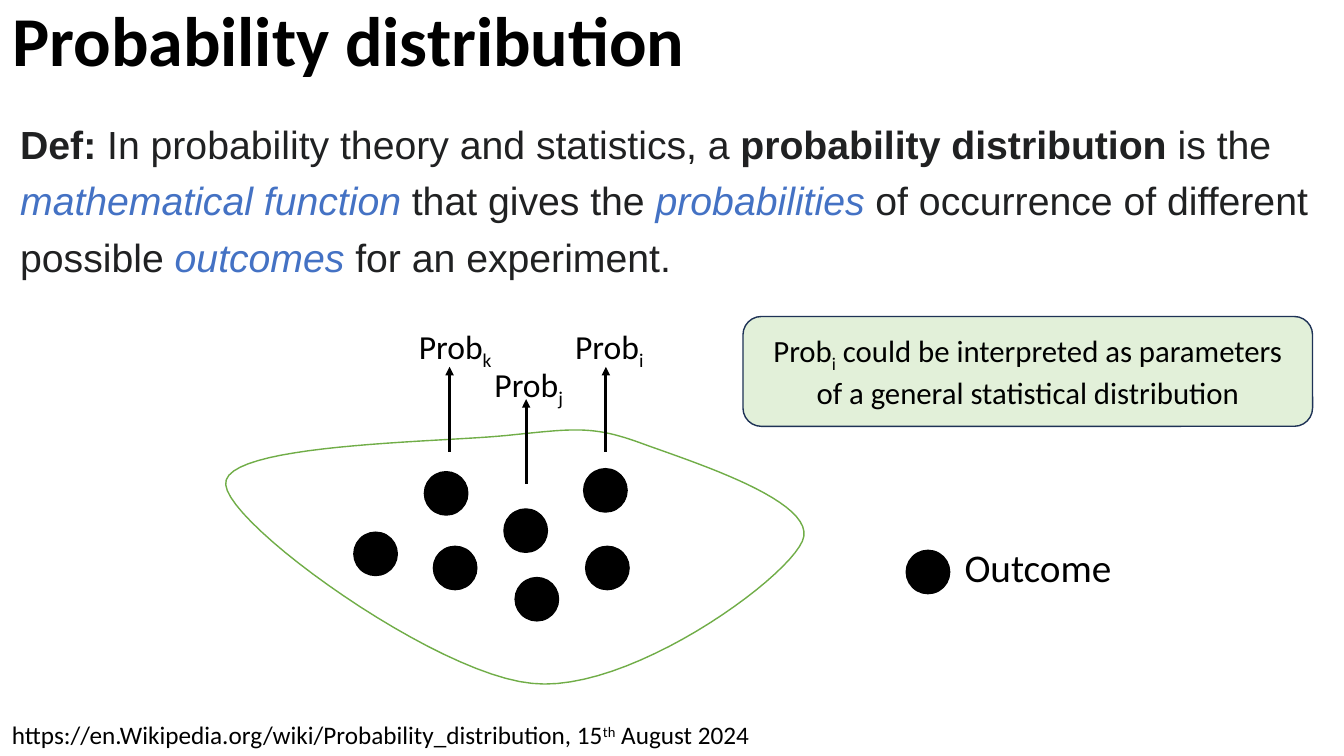
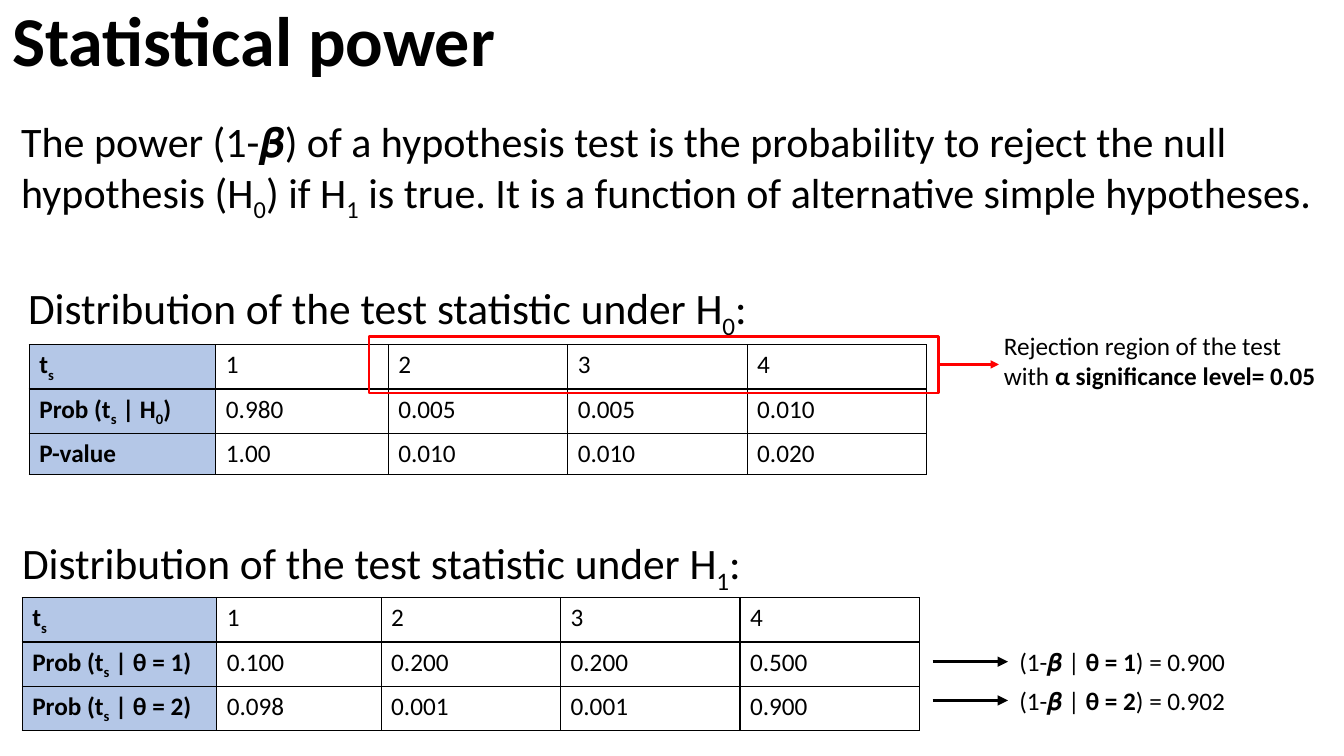
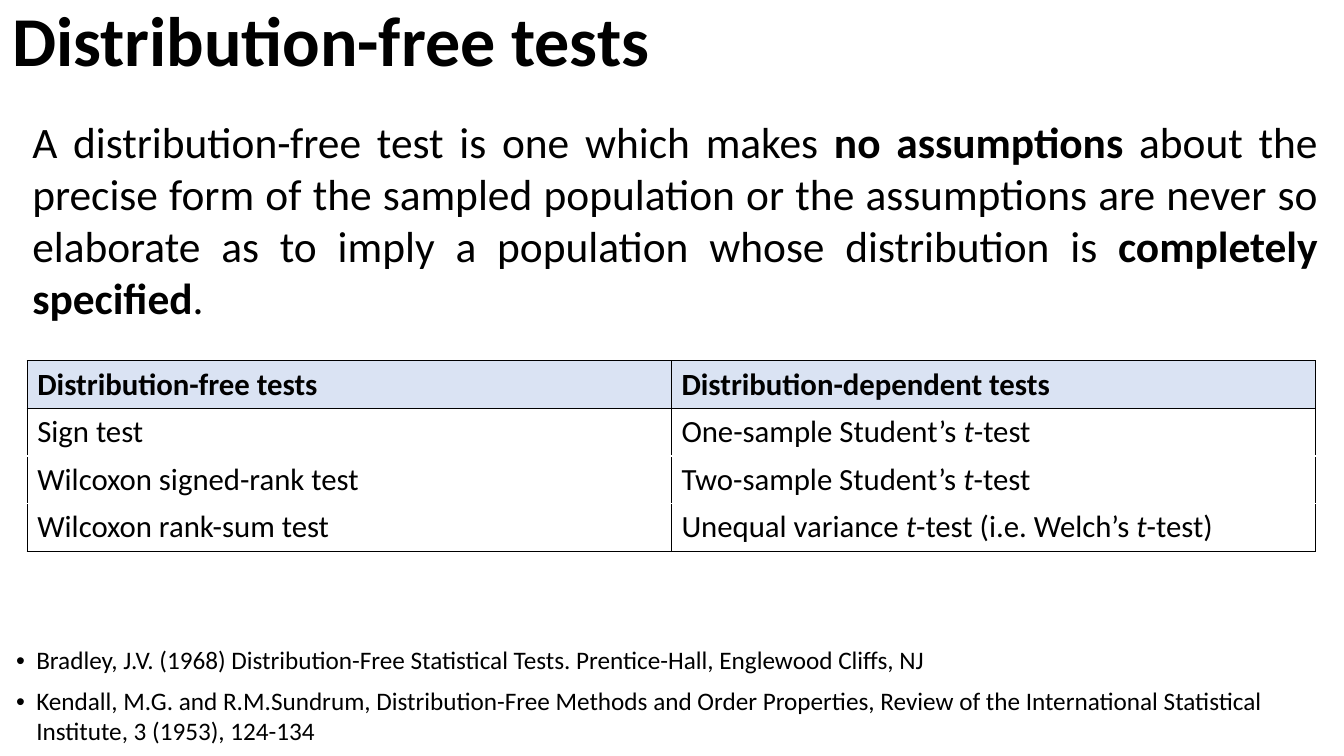
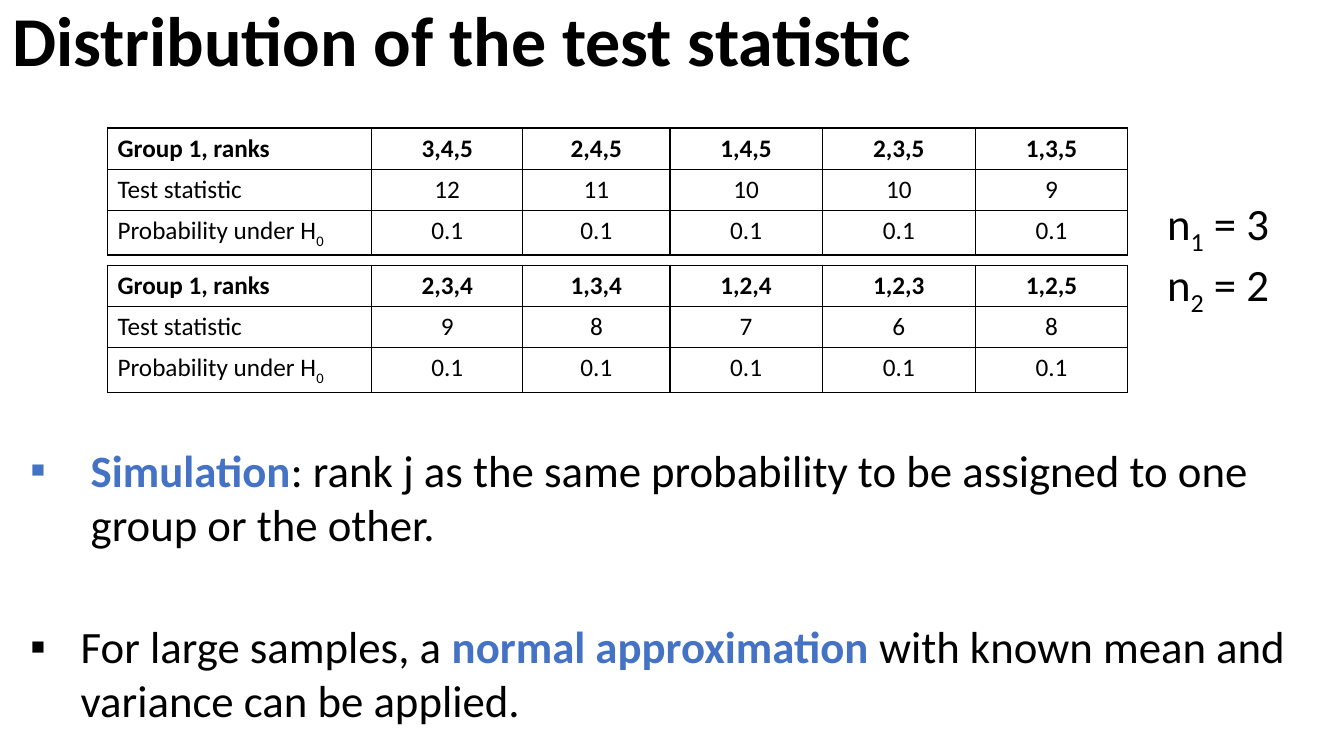
from dataclasses import dataclass

from lxml import etree
from pptx import Presentation
from pptx import util as u
from pptx.dml.color import RGBColor
from pptx.enum import shapes, text
from pptx.oxml import ns


@dataclass(frozen=True)
class Theme:
    width: float = 13.33
    height: float = 7.5
    font: str = "Calibri"
    quote_font: str = "Arial"
    ink: str = "000000"
    quote_ink: str = "202122"
    accent: str = "4472C4"
    paper: str = "FFFFFF"
    outline: str = "70AD47"
    note: str = "E2F0D9"
    note_edge: str = "1E3256"
    alert: str = "FF0000"
    head_col: str = "B4C7E7"
    head_row: str = "DAE3F3"
    title: int = 50
    bullet: int = 32
    lead: int = 31
    power: int = 30
    quote: int = 28
    label: int = 24
    cell: int = 22
    small: int = 18


T = Theme()
LEFT, CENTER, JUSTIFY = (text.PP_ALIGN.LEFT, text.PP_ALIGN.CENTER,
                         text.PP_ALIGN.JUSTIFY)
TOP, MIDDLE = text.MSO_ANCHOR.TOP, text.MSO_ANCHOR.MIDDLE
BASELINE = {"sub": "-25000", "sup": "30000"}
ROW = 5.47


def px(share):
    return u.Inches(T.width * share / 100)


def py(share):
    return u.Inches(T.height * share / 100)


def rgb(code):
    return RGBColor.from_string(code)


def put(obj, **values):
    for name, value in values.items():
        setattr(obj, name, value)


def box(x, y, w, h):
    return px(x), py(y), px(w), py(h)


def sub_el(parent, tag, **attrs):
    return etree.SubElement(parent, ns.qn(tag), attrs)


def add_run(p, item, size, font, color, bold):
    words, style = (item, "") if isinstance(item, str) else item
    marks = style.split()
    r = p.add_run()
    r.text = words
    put(r.font, size=u.Pt(size), name=font, bold=bold or "bold" in marks,
        italic="italic" in marks)
    r.font.color.rgb = rgb(T.accent if "accent" in marks else color)
    for mark in BASELINE.keys() & set(marks):
        r._r.get_or_add_rPr().set("baseline", BASELINE[mark])


def write(tf, paras, size, align=LEFT, spacing=1.0, gap=0, bullet="",
          indents=(), font=T.font, color=T.ink, bold=False):
    for i, runs in enumerate(paras):
        p = tf.add_paragraph() if i else tf.paragraphs[0]
        pPr = p._p.get_or_add_pPr()
        hang = px(indents[i]) if bullet else 0
        pPr.set("marL", str(hang))
        pPr.set("indent", str(-hang))
        if bullet:
            sub_el(pPr, "a:buFont", typeface="Arial")
            sub_el(pPr, "a:buChar", char=bullet)
        else:
            sub_el(pPr, "a:buNone")
        put(p, alignment=align, line_spacing=spacing,
            space_before=u.Pt(gap if i else 0), space_after=u.Pt(0))
        for item in [runs] if isinstance(runs, str) else runs:
            add_run(p, item, size, font, color, bold)


def fill_frame(sp, paras, size, anchor=TOP, **fmt):
    tf = sp.text_frame
    put(tf, word_wrap=True, auto_size=text.MSO_AUTO_SIZE.NONE,
        vertical_anchor=anchor)
    write(tf, paras, size, **fmt)


def place(sp, area):
    put(sp, **dict(zip(("left", "top", "width", "height"), box(*area))))


def new_slide(prs, title, body_area, paras, size, **fmt):
    s = prs.slides.add_slide(prs.slide_layouts[1])
    head, body = s.placeholders
    place(head, (0.15, 0.53, 99.7, 10.53))
    fill_frame(head, [title], T.title, MIDDLE, spacing=0.9, bold=True)
    place(body, body_area)
    fill_frame(body, paras, size, **fmt)
    return s


def add_text(s, area, paras, size, **fmt):
    fill_frame(s.shapes.add_textbox(*box(*area)), paras, size, **fmt)


def paint(sp, fill, line, width=1):
    sp.shadow.inherit = False
    if fill:
        sp.fill.solid()
        sp.fill.fore_color.rgb = rgb(fill)
    else:
        sp.fill.background()
    sp.line.color.rgb = rgb(line)
    sp.line.width = u.Pt(width)


def add_shape(s, kind, area, fill, line, width=1):
    sp = s.shapes.add_shape(kind, *box(*area))
    paint(sp, fill, line, width)
    return sp


def add_arrow(s, x1, y1, x2, y2, color=T.ink, width=2):
    c = s.shapes.add_connector(shapes.MSO_CONNECTOR.STRAIGHT,
                               px(x1), py(y1), px(x2), py(y2))
    c.line.color.rgb = rgb(color)
    c.line.width = u.Pt(width)
    sub_el(c.line._get_or_add_ln(), "a:tailEnd", type="triangle")
    sub_el(c._element.spPr, "a:effectLst")


def add_blob(s, start, curves, steps=24):
    points, a = [], start
    for b, c, d in curves:
        for n in range(1, steps + 1):
            t = n / steps
            weights = ((1 - t) ** 3, 3 * t * (1 - t) ** 2,
                       3 * t ** 2 * (1 - t), t ** 3)
            x, y = (sum(w * q[k] for w, q in zip(weights, (a, b, c, d)))
                    for k in (0, 1))
            points.append((px(x), py(y)))
        a = d
    fb = s.shapes.build_freeform(px(start[0]), py(start[1]))
    fb.add_line_segments(points, close=True)
    paint(fb.convert_to_shape(), T.paper, T.outline)


def set_borders(cell, **sides):
    tcPr = cell._tc.get_or_add_tcPr()
    for side in "LRTB":
        ln = sub_el(tcPr, "a:ln" + side, w=str(u.Pt(1)))
        sub_el(sub_el(ln, "a:solidFill"), "a:srgbClr", val=sides[side])


def add_table(s, x, y, cols, rows, size, head="", tint="", center=False,
              side=T.ink, rules=None, heights=None, **fmt):
    heights = heights or [ROW] * len(rows)
    rules = rules or [T.ink] * (len(rows) + 1)
    frame = s.shapes.add_table(len(rows), len(cols),
                               *box(x, y, sum(cols), sum(heights)))
    tbl = frame.table
    put(tbl, first_row=False, horz_banding=False)
    for col, w in zip(tbl.columns, cols):
        col.width = px(w)
    for i, (row, h) in enumerate(zip(rows, heights)):
        tbl.rows[i].height = py(h)
        for j, runs in enumerate(row):
            cell = tbl.cell(i, j)
            is_head = (head == "row" and i == 0) or (head == "col" and j == 0)
            set_borders(cell, L=side, R=side, T=rules[i], B=rules[i + 1])
            if is_head and tint:
                cell.fill.solid()
                cell.fill.fore_color.rgb = rgb(tint)
            else:
                cell.fill.background()
            write(cell.text_frame, [runs], size, bold=is_head,
                  align=CENTER if center and j else LEFT, **fmt)


def probability_slide(prs):
    link = "italic accent"
    s = new_slide(prs, "Probability distribution", (0.75, 14, 99, 23.47), [[
        ("Def:", "bold"), " In probability theory and statistics, a ",
        ("probability distribution", "bold"), " is the ",
        ("mathematical function ", link), "that gives the ",
        ("probabilities", link), " of occurrence of different possible ",
        ("outcomes", link), " for an experiment."]],
        T.quote, font=T.quote_font, color=T.quote_ink, spacing=1.2)
    add_blob(s, (37.73, 57.6), [
        ((32.55, 58.53), (16.43, 58.67), (16.8, 64.13)),
        ((17.1, 69.6), (32.4, 89.2), (39.6, 90.4)),
        ((46.73, 91.73), (58.35, 76.93), (59.7, 71.6)),
        ((61.05, 66.4), (51.45, 61.07), (47.78, 58.67)),
        ((44.1, 56.27), (42.83, 56.67), (37.73, 57.6))])
    for x, y in ((26.33, 70.4), (31.58, 62.4), (32.25, 72.27),
                 (37.5, 67.33), (38.33, 76.4), (43.43, 62),
                 (43.58, 72.27), (67.43, 72.8)):
        add_shape(s, shapes.MSO_SHAPE.OVAL, (x, y, 3.23, 5.73), T.ink, T.ink)
    add_text(s, (71.03, 71.2, 13.5, 7.6), ["Outcome"], T.quote)
    for letter, x, y, arrow_x, tip in (("i", 40.65, 42.4, 45.08, 48.53),
                                       ("j", 34.65, 47.47, 39.15, 52.8),
                                       ("k", 29.18, 42.4, 33.45, 48.53)):
        add_arrow(s, arrow_x, tip + 11.2, arrow_x, tip)
        add_text(s, (x, y, 9.38, 6.67), [["Prob", (letter, "sub")]],
                 T.label, align=CENTER)
    note = add_shape(s, shapes.MSO_SHAPE.ROUNDED_RECTANGLE,
                     (55.28, 41.87, 42.38, 14.53), T.note, T.note_edge)
    fill_frame(note, [["Prob", ("i", "sub"), " could be interpreted as "
                       "parameters of a general statistical distribution"]],
               T.cell, MIDDLE, align=CENTER)
    add_text(s, (0.15, 94.53, 56.7, 5.33), [[
        "https://en.Wikipedia.org/wiki/Probability_distribution, 15",
        ("th", "sup"), " August 2024"]], T.small)


def power_slide(prs):
    zero, one, stat = ("0", "sub"), ("1", "sub"), ("s", "sub")
    s = new_slide(prs, "Statistical power", (0.83, 14.67, 97.8, 15.2), [[
        "The power (1-𝜷) of a hypothesis test is the probability to reject "
        "the null hypothesis (H", zero, ") if H", one,
        " is true. It is a function of alternative simple hypotheses."]],
        T.power)
    header = [["t", stat], "1", "2", "3", "4"]
    tests = (
        (zero, 1.35, 36.53, 2.18, 45.6, (13.88, 12.83), [
            [["Prob (t", stat, " | H", zero, ")"],
             "0.980", "0.005", "0.005", "0.010"],
            ["P-value", "1.00", "0.010", "0.010", "0.020"]]),
        (one, 0.9, 70.27, 1.65, 79.07, (14.48, 12.23), [
            [["Prob (t", stat, " | θ = 1)"],
             "0.100", "0.200", "0.200", "0.500"],
            [["Prob (t", stat, " | θ = 2)"],
             "0.098", "0.001", "0.001", "0.900"]]))
    for index, x, y, table_x, table_y, first_cols, rows in tests:
        add_text(s, (x, y, 56.55, 8.27), [[
            "Distribution of the test statistic under H", index, ":"]], T.lead)
        add_table(s, table_x, table_y, [*first_cols, *[13.35] * 3],
                  [header, *rows], T.small, head="col", tint=T.head_col)
    add_shape(s, shapes.MSO_SHAPE.RECTANGLE, (27.45, 44.53, 42.38, 7.47),
              None, T.alert, 2)
    add_arrow(s, 69.83, 48.2, 74.33, 48.2, T.alert)
    add_text(s, (73.95, 43.07, 24.9, 9.47), [[
        "Rejection region of the test with ",
        ("α significance level= 0.05", "bold")]], T.small)
    for i, (theta, power) in enumerate((("θ = 1", "0.900"),
                                        ("θ = 2", "0.902"))):
        y = 84.8 + 5.13 * i
        add_arrow(s, 69.4, y + 2.73, 75, y + 2.73, width=2.5)
        add_text(s, (75.1, y, 18, 5.33), [[
            "(1-𝜷 | ", (theta, "bold"), ") = " + power]], T.small)


def tests_slide(prs):
    s = new_slide(prs, "Distribution-free tests", (1.65, 14.53, 97.13, 29.2), [[
        "A distribution-free test is one which makes ",
        ("no assumptions", "bold"),
        " about the precise form of the sampled population or the assumptions "
        "are never so elaborate as to imply a population whose distribution "
        "is ", ("completely specified", "bold"), "."]],
        T.lead, align=JUSTIFY)
    t = ("t", "italic")
    add_table(s, 2.03, 47.73, [47.93] * 2, [
        ["Distribution-free tests", "Distribution-dependent tests"],
        ["Sign test", ["One-sample Student’s ", t, "-test"]],
        ["Wilcoxon signed-rank test", ["Two-sample Student’s ", t, "-test"]],
        ["Wilcoxon rank-sum test",
         ["Unequal variance ", t, "-test (i.e. Welch’s ", t, "-test)"]]],
        T.cell, head="row", tint=T.head_row,
        rules=[T.ink, T.ink, T.paper, T.paper, T.ink])
    add_table(s, 0.45, 84.67, [99.53], [
        ["Bradley, J.V. (1968) Distribution-Free Statistical Tests. "
         "Prentice-Hall, Englewood Cliffs, NJ"],
        ["Kendall, M.G. and R.M.Sundrum, Distribution-Free Methods and Order "
         "Properties, Review of the International Statistical Institute, "
         "3 (1953), 124-134"]],
        T.small, side=T.paper, rules=[T.paper] * 3, heights=[4, 7.33],
        bullet="•", indents=[1.5])


def statistic_slide(prs):
    s = new_slide(
        prs, "Distribution of the test statistic", (1.5, 57.87, 95.78, 39.2), [
            [("Simulation", "bold accent"),
             ": rank j as the same probability to be assigned to one group "
             "or the other."],
            ["For large samples, a ",
             ("normal approximation ", "bold accent"),
             "with known mean and variance can be applied."]],
        T.bullet, bullet="▪", indents=[4.5, 3.75], gap=49)
    cols = [19.65, 11.25, 10.95, 11.33, 11.4, 11.33]
    for y, ranks, values in (
            (16.93, ["3,4,5", "2,4,5", "1,4,5", "2,3,5", "1,3,5"],
             ["12", "11", "10", "10", "9"]),
            (35.07, ["2,3,4", "1,3,4", "1,2,4", "1,2,3", "1,2,5"],
             ["9", "8", "7", "6", "8"])):
        add_table(s, 8, y, cols, [
            ["Group 1, ranks", *ranks],
            ["Test statistic", *values],
            [["Probability under H", ("0", "sub")], *["0.1"] * 5]],
            T.small, head="row", center=True)
    add_text(s, (86.1, 25.2, 11.33, 15.73), [
        ["n", ("1", "sub"), " = 3"], ["n", ("2", "sub"), " = 2"]], T.bullet)


def main():
    prs = Presentation()
    put(prs, slide_width=u.Inches(T.width), slide_height=u.Inches(T.height))
    for build in (probability_slide, power_slide, tests_slide,
                  statistic_slide):
        build(prs)
    prs.save("out.pptx")


if __name__ == "__main__":
    main()
